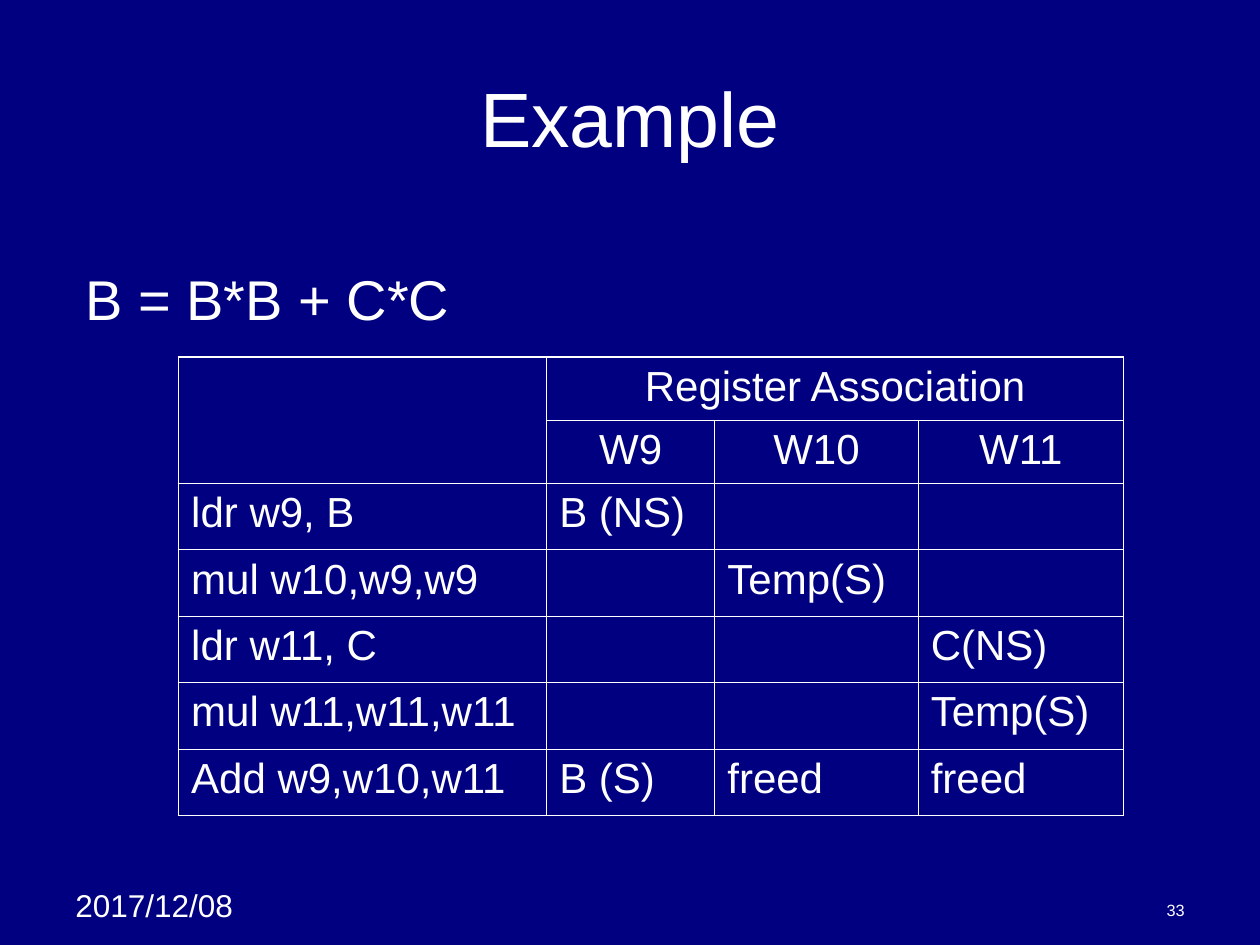
from lxml import etree
from pptx import Presentation
from pptx.dml.color import RGBColor
from pptx.enum.text import MSO_ANCHOR, PP_ALIGN
from pptx.oxml.ns import qn
from pptx.util import Cm, Pt

LEFT, MID, RIGHT = PP_ALIGN.LEFT, PP_ALIGN.CENTER, PP_ALIGN.RIGHT
TOP, CENTER, BOTTOM = MSO_ANCHOR.TOP, MSO_ANCHOR.MIDDLE, MSO_ANCHOR.BOTTOM
FONT, INK, NAVY = "Arial", "FFFFFF", "000080"
THIN, THICK = 0.45, 1.08

COLS = [7.42, 3.39, 4.1, 4.14]
HEAD, BODY = 1.27, 1.34
ROWS = [
    ["", "Register Association", "", ""],
    ["", "W9", "W10", "W11"],
    ["ldr w9, B", "B (NS)", "", ""],
    ["mul w10,w9,w9", "", "Temp(S)", ""],
    ["ldr w11, C", "", "", "C(NS)"],
    ["mul w11,w11,w11", "", "", "Temp(S)"],
    ["Add w9,w10,w11", "B (S)", "freed", "freed"],
]


def color(code):
    return RGBColor.from_string(code)


def write(frame, text, size, align=LEFT):
    para = frame.paragraphs[0]
    para.alignment = align
    run = para.add_run()
    run.text = text
    run.font.size = Pt(size)
    run.font.name = FONT
    run.font.color.rgb = color(INK)


def add_text(slide, box, text, size, align=LEFT, anchor=TOP):
    frame = slide.shapes.add_textbox(*map(Cm, box)).text_frame
    frame.word_wrap = True
    frame.vertical_anchor = anchor
    write(frame, text, size, align)


def add_edges(cell, widths):
    """Draw the left, right, top and bottom borders, in that order."""
    props = cell._tc.get_or_add_tcPr()
    for index, (side, width) in enumerate(zip("LRTB", widths)):
        line = etree.Element(qn(f"a:ln{side}"), w=str(int(Pt(width))))
        fill = etree.SubElement(line, qn("a:solidFill"))
        etree.SubElement(fill, qn("a:srgbClr"), val=INK)
        props.insert(index, line)


def add_registers(slide, left, top):
    heights = [HEAD] * 2 + [BODY] * (len(ROWS) - 2)
    box = (left, top, sum(COLS), sum(heights))
    table = slide.shapes.add_table(len(ROWS), len(COLS), *map(Cm, box)).table
    table.first_row = table.horz_banding = False
    for col, width in zip(table.columns, COLS):
        col.width = Cm(width)
    for row, height in zip(table.rows, heights):
        row.height = Cm(height)

    # Merged heading cells
    table.cell(0, 0).merge(table.cell(1, 0))
    table.cell(0, 1).merge(table.cell(0, 3))

    # Text and borders, thicker around the outside
    for r, texts in enumerate(ROWS):
        for c, text in enumerate(texts):
            cell = table.cell(r, c)
            cell.fill.background()
            if cell.is_spanned:
                continue
            right, bottom = c + cell.span_width, r + cell.span_height
            outer = (c == 0, right == len(COLS), r == 0, bottom == len(ROWS))
            add_edges(cell, [THICK if edge else THIN for edge in outer])
            if text:
                write(cell.text_frame, text, 24, MID if r < 2 else LEFT)


def add_footer(slide, left, top, width):
    add_text(slide, (left, top, 4.01, 1.7), "2017/12/08", 18)
    number = (left + width - 5.92, top + 0.26, 5.92, 0.68)
    add_text(slide, number, "33", 9.3, RIGHT, BOTTOM)


def main():
    deck = Presentation()
    deck.slide_width, deck.slide_height = Cm(25.4), Cm(19.05)
    slide = deck.slides.add_slide(deck.slide_layouts[6])
    slide.background.fill.solid()
    slide.background.fill.fore_color.rgb = color(NAVY)

    # Title and expression
    add_text(slide, (1.27, 0.76, 22.86, 3.18), "Example", 44, MID, CENTER)
    add_text(slide, (1.47, 5.2, 23.29, 1.7), "B = B*B + C*C", 32)

    # Register table and footer
    add_registers(slide, 3.6, 7.2)
    add_footer(slide, 1.27, 17.73, 22.86)
    deck.save("out.pptx")


if __name__ == "__main__":
    main()
